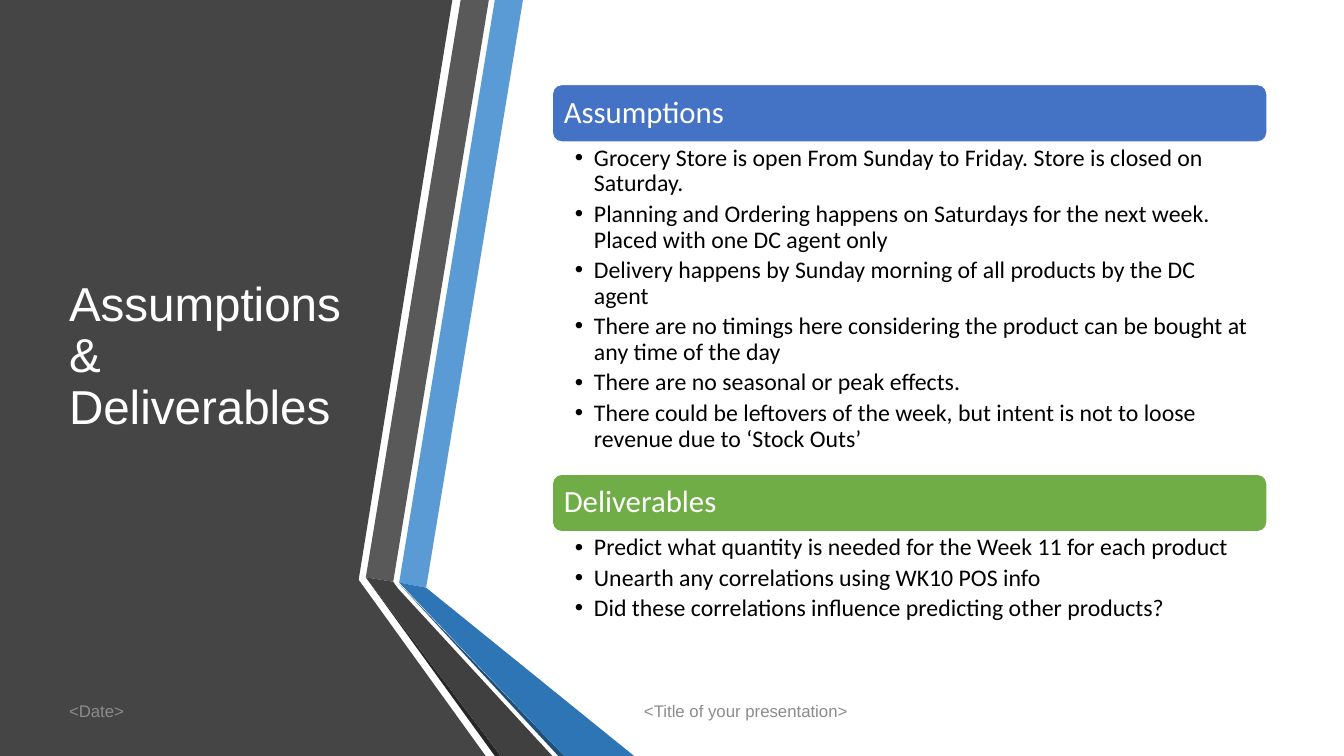
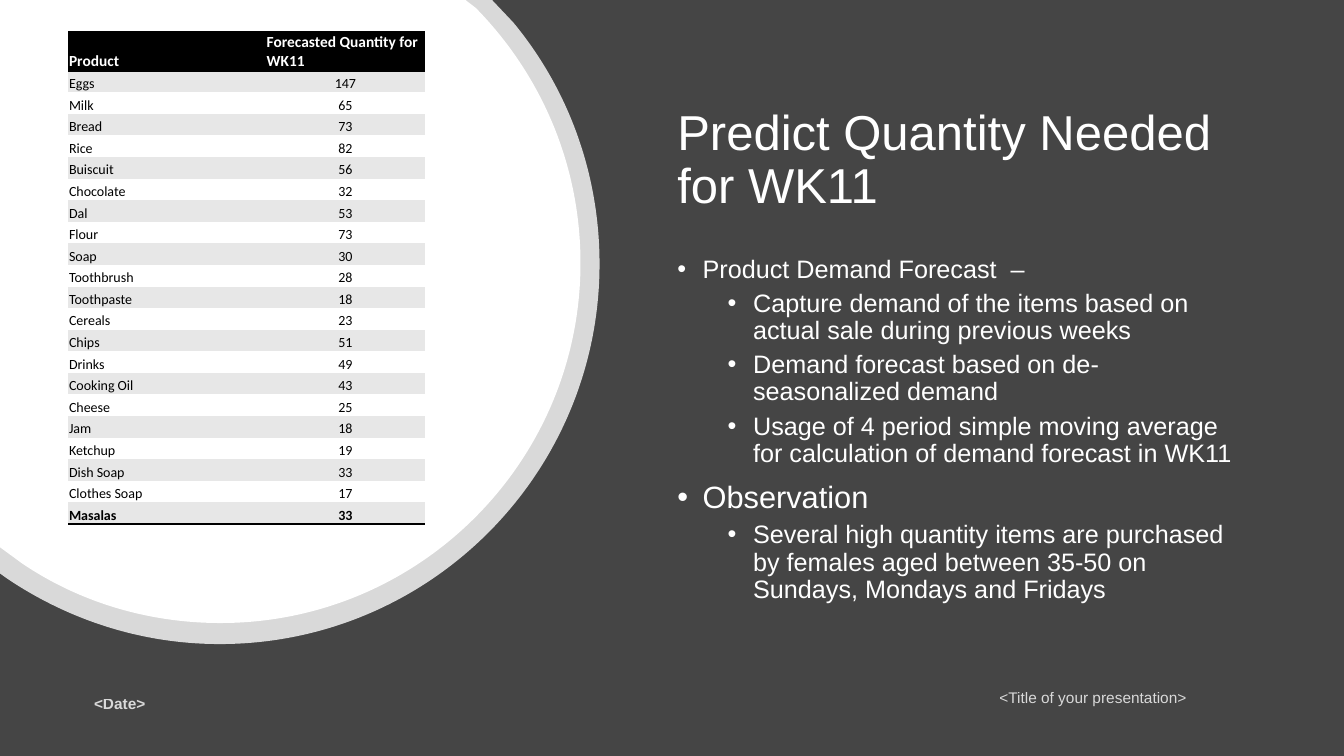
"""Build two slides on grocery planning assumptions and the week 11 forecast."""
from dataclasses import dataclass, replace

from lxml import etree
from pptx import Presentation, util as u
from pptx.dml import color
from pptx.enum import shapes, text
from pptx.oxml import ns

Cm, Pt = u.Cm, u.Pt


@dataclass(frozen=True)
class Theme:
    """Colours, fonts and type sizes shared by the slides."""
    white: str = "FFFFFF"
    black: str = "000000"
    charcoal: str = "454545"
    muted: str = "8C8C8C"
    band: str = "E7E7E7"
    blue: str = "4472C4"
    green: str = "70AD47"
    ribbon_blue: str = "5B9BD5"
    ribbon_deep: str = "2E75B6"
    ribbon_navy: str = "1F4E79"
    ribbon_grey: str = "595959"
    ribbon_dark: str = "404040"
    ribbon_edge: str = "262626"
    heading_font: str = "Arial"
    body_font: str = "Calibri"
    translucency: int = 80


@dataclass(frozen=True)
class Style:
    """Format of one kind of paragraph; indents are in centimetres."""
    size: float
    color: str
    font: str
    bold: bool = False
    alpha: int = 100
    align: text.PP_ALIGN = text.PP_ALIGN.LEFT
    line: float = 0.9
    before: float = 0
    after: float = 0
    indent: float = 0
    hanging: float = 0


THEME = Theme()
TITLE = Style(34, THEME.white, THEME.heading_font)
FOOTER = Style(12, THEME.muted, THEME.heading_font, line=1.0, after=6)
FOOTER_DARK = replace(FOOTER, size=11, color=THEME.white, alpha=THEME.translucency)
CARD_HEADING = Style(22, THEME.white, THEME.body_font)
CARD_ITEM = Style(17, THEME.black, THEME.body_font, after=3.4, indent=0.48, hanging=0.48)
POINT = Style(18, THEME.white, THEME.heading_font, before=10, indent=0.64, hanging=0.64)
LARGE_POINT = replace(POINT, size=22)
SUBPOINT = replace(POINT, before=5, indent=1.91)
TABLE_HEADER = Style(11, THEME.white, THEME.body_font, bold=True, line=1.0)
TABLE_ENTRY = replace(TABLE_HEADER, size=10, color=THEME.black, bold=False)

SLIDE_BOX = (0, 0, 33.87, 19.05)
INSETS = (0.25, 0.13, 0.25, 0.13)
CELL_INSETS = (0.02, 0.02, 0.02, 0)

RIBBON = [
    (THEME.charcoal, [(0, 0), (11.4, 0), (9.04, 14.61), (12.24, 19.05), (0, 19.05)]),
    (THEME.ribbon_blue, [(10.06, 14.68), (10.74, 14.81), (13.18, 0), (12.47, 0)]),
    (THEME.ribbon_grey, [(12.32, 0), (11.61, 0), (9.22, 14.55), (9.91, 14.66)]),
    (THEME.ribbon_edge, [(9.22, 14.55), (12.47, 19.05), (12.62, 19.05)]),
    (THEME.ribbon_navy, [(10.06, 14.71), (14.07, 19.05), (14.22, 19.05)]),
    (THEME.ribbon_deep, [(10.06, 14.68), (14.22, 19.05), (15.98, 19.05), (10.74, 14.81)]),
    (THEME.ribbon_dark, [(9.22, 14.55), (9.91, 14.66), (10.03, 14.83),
                         (13.92, 19.05), (12.62, 19.05)]),
]
DISC_RIM = [
    (0, 0), (12.4, 0), (12.93, 0.56), (14.3, 2.21, 15.11, 4.34, 15.11, 6.65),
    (15.11, 11.94, 10.82, 16.23, 5.54, 16.23), (3.56, 16.23, 1.73, 15.62, 0.18, 14.58),
    (0, 14.45),
]
DISC_FACE = [
    (0, 0), (11.73, 0), (11.99, 0.2), (13.61, 1.85, 14.63, 4.11, 14.63, 6.63),
    (14.63, 11.63, 10.57, 15.7, 5.56, 15.7), (3.71, 15.7, 1.98, 15.16, 0.56, 14.2),
    (0, 13.79),
]
ASSUMPTIONS = [
    "Grocery Store is open From Sunday to Friday. Store is closed on Saturday.",
    "Planning and Ordering happens on Saturdays for the next week. "
    "Placed with one DC agent only",
    "Delivery happens by Sunday morning of all products by the DC agent",
    "There are no timings here considering the product can be bought at any time of the day",
    "There are no seasonal or peak effects.",
    "There could be leftovers of the week, but intent is not to loose revenue "
    "due to ‘Stock Outs’",
]
DELIVERABLES = [
    "Predict what quantity is needed for the Week 11 for each product",
    "Unearth any correlations using WK10 POS info",
    "Did these correlations influence predicting other products?",
]
FORECAST_POINTS = [
    ("Product Demand Forecast  –", POINT),
    ("Capture demand of the items based on actual sale during previous weeks", SUBPOINT),
    ("Demand forecast based on de-seasonalized demand", SUBPOINT),
    ("Usage of 4 period simple moving average for calculation of demand forecast in WK11",
     SUBPOINT),
    ("Observation", LARGE_POINT),
    ("Several high quantity items are purchased by females aged between 35-50 on "
     "Sundays, Mondays and Fridays", SUBPOINT),
]
QUANTITIES = {
    "Eggs": 147, "Milk": 65, "Bread": 73, "Rice": 82, "Buiscuit": 56, "Chocolate": 32,
    "Dal": 53, "Flour": 73, "Soap": 30, "Toothbrush": 28, "Toothpaste": 18, "Cereals": 23,
    "Chips": 51, "Drinks": 49, "Cooking Oil": 43, "Cheese": 25, "Jam": 18, "Ketchup": 19,
    "Dish Soap": 33, "Clothes Soap": 17, "Masalas": 33,
}


def assign(target, values):
    """Set each named attribute of the target."""
    for name, value in values.items():
        setattr(target, name, value)


def rgb(value):
    """Turn a hex string into a colour."""
    return color.RGBColor.from_string(value)


def set_alpha(element, percent):
    """Make the colours inside an element translucent."""
    if percent < 100:
        for node in list(element.iter(ns.qn("a:srgbClr"))):
            etree.SubElement(node, ns.qn("a:alpha"), val=str(percent * 1000))


def paint(shape, fill, alpha=100):
    """Give a shape a plain fill without line or shadow."""
    shape.shadow.inherit = False
    shape.fill.solid()
    shape.fill.fore_color.rgb = rgb(fill)
    set_alpha(shape._element, alpha)
    shape.line.fill.background()


def margins(insets):
    """Name four insets as margin attributes."""
    sides = ("margin_left", "margin_top", "margin_right", "margin_bottom")
    return {side: Cm(inset) for side, inset in zip(sides, insets)}


def write(frame, entries):
    """Fill a text frame with (words, style) paragraphs."""
    for index, (words, style) in enumerate(entries):
        paragraph = frame.add_paragraph() if index else frame.paragraphs[0]
        assign(paragraph, {"alignment": style.align, "line_spacing": style.line,
                           "space_before": Pt(style.before), "space_after": Pt(style.after)})
        if style.hanging:
            properties = paragraph._p.get_or_add_pPr()
            properties.set("marL", str(Cm(style.indent)))
            properties.set("indent", str(-Cm(style.hanging)))
            etree.SubElement(properties, ns.qn("a:buFont"), typeface=THEME.heading_font)
            etree.SubElement(properties, ns.qn("a:buChar"), char="•")
        run = paragraph.add_run()
        run.text = words
        assign(run.font, {"name": style.font, "size": Pt(style.size), "bold": style.bold})
        run.font.color.rgb = rgb(style.color)
        set_alpha(run._r, style.alpha)


def add_text(slide, box, entries, anchor=text.MSO_ANCHOR.TOP, insets=INSETS):
    """Place a wrapping text box."""
    frame = slide.shapes.add_textbox(*map(Cm, box)).text_frame
    assign(frame, {"word_wrap": True, "vertical_anchor": anchor, **margins(insets)})
    write(frame, entries)


def add_title(slide, box, words, size=TITLE.size):
    """Place a slide title, centred vertically in its box."""
    add_text(slide, box, [(words, replace(TITLE, size=size))], text.MSO_ANCHOR.MIDDLE)


def bend(shape, steps):
    """Turn every three-point step of an outline into one cubic curve."""
    lines = iter(list(shape._element.iter(ns.qn("a:lnTo"))))
    for step in steps:
        parts = [next(lines) for _ in range(len(step) // 2)]
        if len(parts) == 3:
            curve = etree.Element(ns.qn("a:cubicBezTo"))
            parts[0].addprevious(curve)
            for part in parts:
                curve.append(part[0])
                part.getparent().remove(part)


def add_outline(slide, box, steps, fill, alpha=100):
    """Draw a closed outline of lines (x, y) and curves (three points) inside the box."""
    left, top = box[:2]
    corners = [(Cm(left + x), Cm(top + y))
               for step in steps for x, y in zip(step[::2], step[1::2])]
    builder = slide.shapes.build_freeform(*corners[0])
    builder.add_line_segments(corners[1:], close=True)
    shape = builder.convert_to_shape()
    bend(shape, steps[1:])
    paint(shape, fill, alpha)


def add_ribbon(slide, box):
    """Draw the dark side panel and its folded ribbon."""
    for fill, points in RIBBON:
        add_outline(slide, box, points, fill)


def add_disc(slide, box):
    """Draw the white disc and its translucent rim in the corner of the box."""
    add_outline(slide, box, DISC_RIM, THEME.white, THEME.translucency)
    add_outline(slide, box, DISC_FACE, THEME.white)


def add_card(slide, box, heading, items, fill):
    """Place a coloured heading bar with a bulleted list under it."""
    left, top, width, height = box
    bar_height = 1.47
    bar = slide.shapes.add_shape(shapes.MSO_SHAPE.ROUNDED_RECTANGLE,
                                 *map(Cm, (left, top, width, bar_height)))
    paint(bar, fill)
    bar.line.color.rgb = rgb(THEME.white)
    bar.line.width = Pt(1.5)
    assign(bar.text_frame, {"word_wrap": True, "vertical_anchor": text.MSO_ANCHOR.MIDDLE,
                            **margins((0.23,) * 4)})
    write(bar.text_frame, [(heading, CARD_HEADING)])
    add_text(slide, (left, top + bar_height, width, height - bar_height),
             [(item, CARD_ITEM) for item in items], insets=(0.58, 0.08, 0.43, 0.08))


def add_rules(cell, edges):
    """Draw black rules on the named cell edges."""
    properties = cell._tc.get_or_add_tcPr()
    for position, edge in enumerate(edges):
        line = etree.Element(ns.qn(f"a:{edge}"), w=str(Pt(2)))
        fill = etree.SubElement(line, ns.qn("a:solidFill"))
        etree.SubElement(fill, ns.qn("a:srgbClr"), val=THEME.black)
        properties.insert(position, line)


def add_forecast_table(slide, box):
    """Place the banded table of forecasted quantities."""
    width, height = box[2:]
    rows = [("Product", "Forecasted Quantity for WK11"), *QUANTITIES.items()]
    last = len(rows) - 1
    table = slide.shapes.add_table(len(rows), 2, *map(Cm, box)).table
    assign(table, {"first_row": False, "horz_banding": False})
    style_id = table._tbl.tblPr.find(ns.qn("a:tableStyleId"))
    style_id.text = "{2D5ABB26-0587-4C30-8999-92F81FD0307C}"
    name_width, header_height = 4.98, 0.98
    for column, size in zip(table.columns, (name_width, width - name_width)):
        column.width = Cm(size)
    for index, values in enumerate(rows):
        table.rows[index].height = Cm((height - header_height) / last if index
                                      else header_height)
        fill = THEME.black if index == 0 else THEME.band if index % 2 else THEME.white
        edges = {0: ("lnT", "lnB"), last: ("lnB",)}.get(index, ())
        style = replace(TABLE_ENTRY, bold=index == last) if index else TABLE_HEADER
        for column, value in enumerate(values):
            cell = table.cell(index, column)
            assign(cell, {"vertical_anchor": text.MSO_ANCHOR.BOTTOM, **margins(CELL_INSETS)})
            cell.fill.solid()
            cell.fill.fore_color.rgb = rgb(fill)
            add_rules(cell, edges)
            centred = index and column
            align = text.PP_ALIGN.CENTER if centred else text.PP_ALIGN.LEFT
            write(cell.text_frame, [(str(value), replace(style, align=align))])


def add_footers(slide, date_box, name_box, date_style, name_style, date_anchor):
    """Place the date and presentation name."""
    add_text(slide, date_box, [("<Date>", date_style)], date_anchor)
    add_text(slide, name_box, [("<Title of your presentation>", name_style)])


def new_slide(presentation, background):
    """Append a blank slide with a plain background."""
    slide = presentation.slides.add_slide(presentation.slide_layouts[6])
    slide.background.fill.solid()
    slide.background.fill.fore_color.rgb = rgb(background)
    return slide


def build_assumptions(presentation):
    """Build the slide of assumptions and deliverables."""
    slide = new_slide(presentation, THEME.white)
    add_ribbon(slide, SLIDE_BOX)
    add_title(slide, (1.49, 1.92, 7.72, 14.17), "Assumptions & Deliverables")
    add_footers(slide, (1.49, 17.53, 8.46, 1.02), (15.98, 17.53, 10.82, 1.02),
                FOOTER, FOOTER, text.MSO_ANCHOR.TOP)
    add_card(slide, (13.91, 2.12, 18.03, 9.81), "Assumptions", ASSUMPTIONS, THEME.blue)
    add_card(slide, (13.91, 11.94, 18.03, 3.93), "Deliverables", DELIVERABLES, THEME.green)


def build_forecast(presentation):
    """Build the slide of forecasted quantities."""
    slide = new_slide(presentation, THEME.charcoal)
    add_title(slide, (16.82, 2.23, 14.76, 3.68), "Predict Quantity Needed for WK11", 35)
    add_disc(slide, SLIDE_BOX)
    add_text(slide, (16.82, 6.33, 14.76, 9.37), FORECAST_POINTS)
    add_footers(slide, (2.12, 17.22, 10.74, 1.02), (16.83, 17.22, 13.33, 1.02),
                replace(FOOTER_DARK, bold=True),
                replace(FOOTER_DARK, align=text.PP_ALIGN.RIGHT), text.MSO_ANCHOR.MIDDLE)
    add_forecast_table(slide, (1.72, 0.8, 8.99, 12.41))


def main():
    """Build and save the presentation."""
    presentation = Presentation()
    assign(presentation, {"slide_width": Cm(SLIDE_BOX[2]), "slide_height": Cm(SLIDE_BOX[3])})
    build_assumptions(presentation)
    build_forecast(presentation)
    presentation.save("out.pptx")


main()
